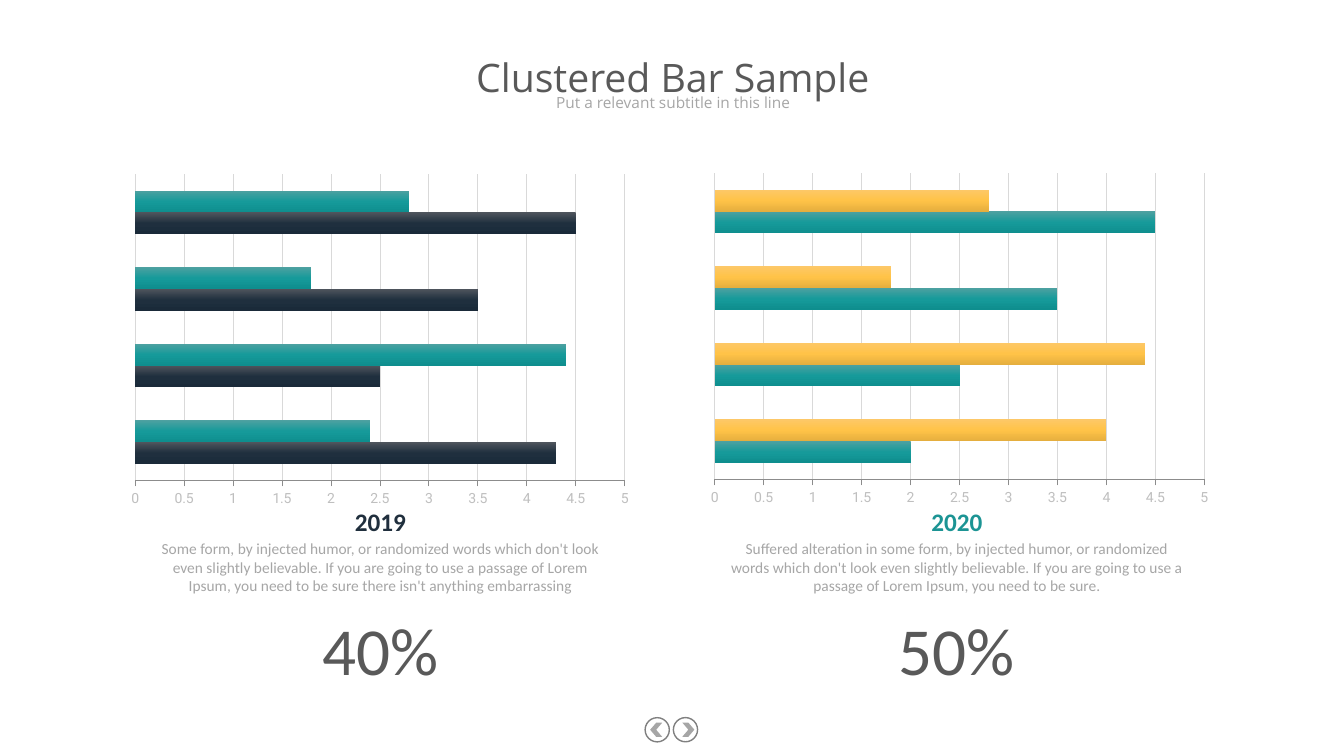
"""Build a slide that compares two clustered bar charts."""
from lxml import etree
from pptx import Presentation
from pptx.chart.data import CategoryChartData
from pptx.dml.color import RGBColor
from pptx.enum.chart import XL_CHART_TYPE, XL_TICK_MARK
from pptx.enum.shapes import MSO_SHAPE
from pptx.enum.text import MSO_ANCHOR, PP_ALIGN
from pptx.oxml.ns import qn
from pptx.util import Pt

BAR = XL_CHART_TYPE.BAR_CLUSTERED
OUTSIDE, NO_TICK = XL_TICK_MARK.OUTSIDE, XL_TICK_MARK.NONE
OVAL, CHEVRON = MSO_SHAPE.OVAL, MSO_SHAPE.CHEVRON
TOP, MIDDLE = MSO_ANCHOR.TOP, MSO_ANCHOR.MIDDLE
CENTER = PP_ALIGN.CENTER

BLACK = RGBColor(0x00, 0x00, 0x00)
DARK = RGBColor(0x59, 0x59, 0x59)
GRAY = RGBColor(0xA6, 0xA6, 0xA6)
RING = RGBColor(0x80, 0x80, 0x80)
LABEL = RGBColor(0xBF, 0xBF, 0xBF)
AXIS = RGBColor(0x8C, 0x8C, 0x8C)
GRID = RGBColor(0xD9, 0xD9, 0xD9)
NAVY = RGBColor(0x20, 0x2F, 0x3D)
TEAL = RGBColor(0x1C, 0x94, 0x94)
NAVY_BAR = [RGBColor(0x4F, 0x55, 0x5D), RGBColor(0x1F, 0x2F, 0x3E), RGBColor(0x1A, 0x2A, 0x39)]
TEAL_BAR = [RGBColor(0x4E, 0xA1, 0xA1), RGBColor(0x16, 0x9A, 0x9A), RGBColor(0x0E, 0x8E, 0x8E)]
GOLD_BAR = [RGBColor(0xFD, 0xC8, 0x68), RGBColor(0xFF, 0xC3, 0x48), RGBColor(0xE5, 0xAE, 0x3E)]


def add_text(left, top, width, height, lines, anchor=TOP):
    """Add a centred text box; lines hold text, size, font, colour and bold."""
    tf = s.shapes.add_textbox(Pt(left), Pt(top), Pt(width), Pt(height)).text_frame
    tf.word_wrap = True
    tf.vertical_anchor = anchor
    for i, (text, size, font, color, bold) in enumerate(lines):
        p = tf.add_paragraph() if i else tf.paragraphs[0]
        p.text = text
        p.alignment = CENTER
        p.font.size = Pt(size)
        p.font.name = font
        p.font.color.rgb = color
        p.font.bold = bold
        if anchor == TOP:
            p.space_before = Pt(size * 0.2)
    return tf


def fill_gradient(fill, colors):
    """Fill from top to bottom with evenly spaced colours."""
    fill.gradient()
    fill.gradient_angle = 270
    stops = fill.gradient_stops[0]._gs.getparent()
    for stop in list(stops):
        stops.remove(stop)
    for i, color in enumerate(colors):
        stop = etree.SubElement(stops, qn("a:gs"), pos=str(i * 50000))
        etree.SubElement(stop, qn("a:srgbClr"), val=str(color))


prs = Presentation()
prs.slide_width, prs.slide_height = Pt(960), Pt(540)
s = prs.slides.add_slide(prs.slide_layouts[6])

tf = add_text(318.2, 18, 324.7, 52.6,
              [("Clustered Bar Sample", 28, "Open Sans", DARK, False)])
tf.paragraphs[0].line_spacing = 1.5
add_text(367.2, 59, 227.5, 28.8,
         [("Put a relevant subtitle in this line", 11, "Open Sans", GRAY, False)], MIDDLE)

panels = [
    (86.4, 119.5, 100.8, "2019", NAVY, "40%",
     "Some form, by injected humor, or randomized words which don't look even slightly "
     "believable. If you are going to use a passage of Lorem Ipsum, you need to be sure "
     "there isn't anything embarrassing",
     [((4.3, 2.5, 3.5, 4.5), NAVY_BAR), ((2.4, 4.4, 1.8, 2.8), TEAL_BAR)]),
    (500.4, 118.8, 512.6, "2020", TEAL, "50%",
     "Suffered alteration in some form, by injected humor, or randomized words which don't "
     "look even slightly believable. If you are going to use a passage of Lorem Ipsum, you "
     "need to be sure.",
     [((2, 2.5, 3.5, 4.5), TEAL_BAR), ((4, 4.4, 1.8, 2.8), GOLD_BAR)]),
]
for left, top, text_left, year, year_color, percent, body, series in panels:
    data = CategoryChartData()
    data.categories = ["1", "2", "3", "4"]
    for i, (values, colors) in enumerate(series, 1):
        data.add_series(f"Series {i}", values)
    chart = s.shapes.add_chart(BAR, Pt(left), Pt(top), Pt(370), Pt(247), data).chart
    chart.has_legend = False
    chart.has_title = False
    chart.font.size = Pt(18)
    chart.font.name = "Calibri"
    chart.font.color.rgb = BLACK
    plot = chart.plots[0]
    plot.gap_width = 150
    plot.vary_by_categories = False
    for bars, (values, colors) in zip(plot.series, series):
        bars.invert_if_negative = False
        fill_gradient(bars.format.fill, colors)
    chart.category_axis.visible = False
    axis = chart.value_axis
    axis.minimum_scale, axis.maximum_scale, axis.major_unit = 0, 5, 0.5
    axis.major_tick_mark, axis.minor_tick_mark = OUTSIDE, NO_TICK
    axis.tick_labels.font.size = Pt(10)
    axis.tick_labels.font.name = "Roboto"
    axis.tick_labels.font.color.rgb = LABEL
    for line, color in ((axis.format.line, AXIS), (axis.major_gridlines.format.line, GRID)):
        line.color.rgb = color
        line.width = Pt(0.5)

    add_text(text_left, 357.8, 342, 126.7,
             [(year, 18, "Calibri", year_color, True),
              (body, 11, "Calibri", GRAY, False),
              (percent, 48, "Calibri", DARK, False)])

for ring_left, arrow_left, rotation in ((481, 487.4, 0), (460.8, 464.4, 180)):
    ring = s.shapes.add_shape(OVAL, Pt(ring_left), Pt(512.6), Pt(17.3), Pt(17.3))
    ring.fill.background()
    ring.line.color.rgb = RING
    ring.line.width = Pt(1)
    arrow = s.shapes.add_shape(CHEVRON, Pt(arrow_left), Pt(516.2), Pt(8.6), Pt(10.1))
    arrow.fill.solid()
    arrow.fill.fore_color.rgb = GRAY
    arrow.line.fill.background()
    for sp in (ring, arrow):
        sp.rotation = rotation
        sp.shadow.inherit = False

prs.save("out.pptx")
